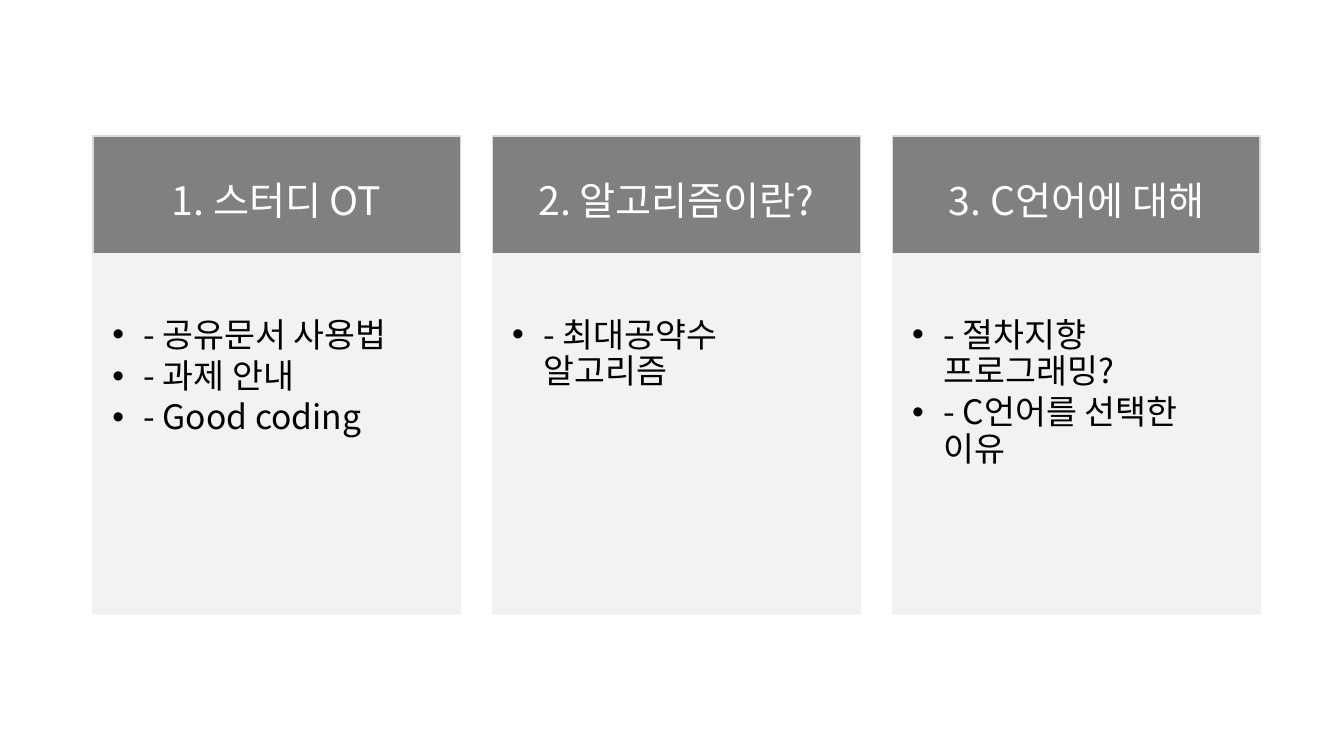
import pptx
import pptx.util
import pptx.dml.color
import pptx.enum.shapes
import pptx.enum.text
import pptx.oxml.ns
import lxml.etree
from dataclasses import dataclass

Cm = pptx.util.Cm
Pt = pptx.util.Pt
ALIGN = pptx.enum.text.PP_ALIGN
ANCHOR = pptx.enum.text.MSO_ANCHOR


@dataclass(frozen=True)
class Theme:
    font: str = "Noto Sans CJK KR"
    bullet_font: str = "Arial"
    heading_fill: str = "808080"
    heading_line: str = "D9D9D9"
    heading_text: str = "FFFFFF"
    body_fill: str = "F2F2F2"
    body_text: str = "000000"
    heading_size: int = 28
    body_size: int = 24


def rgb(code):
    return pptx.dml.color.RGBColor.from_string(code)


def write(paragraph, text, *, font, size, color, align, after,
          bullet_indent=None, bullet_font=None):
    paragraph.alignment = align
    paragraph.line_spacing = 0.9
    paragraph.space_after = Pt(after)
    run = paragraph.add_run()
    run.text = text
    run.font.name = font
    run.font.size = Pt(size)
    run.font.color.rgb = rgb(color)
    qn = pptx.oxml.ns.qn
    # East Asian typeface for the Korean text
    lxml.etree.SubElement(run.font._element, qn("a:ea")).set("typeface", font)
    if bullet_indent is not None:
        properties = paragraph._p.get_or_add_pPr()
        properties.set("marL", str(bullet_indent))
        properties.set("indent", str(-bullet_indent))
        lxml.etree.SubElement(properties, qn("a:buFont")).set("typeface", bullet_font)
        lxml.etree.SubElement(properties, qn("a:buChar")).set("char", "•")


class Deck:
    def __init__(self, theme, slide):
        self.theme = theme
        self.slide = slide

    def panel(self, left, top, width, height, fill, line, anchor, insets):
        panel = self.slide.shapes.add_shape(
            pptx.enum.shapes.MSO_SHAPE.RECTANGLE,
            Cm(left), Cm(top), Cm(width), Cm(height))
        panel.shadow.inherit = False
        panel.fill.solid()
        panel.fill.fore_color.rgb = rgb(fill)
        panel.line.color.rgb = rgb(line)
        panel.line.width = Pt(1)
        frame = panel.text_frame
        frame.word_wrap = True
        frame.vertical_anchor = anchor
        (frame.margin_left, frame.margin_top,
         frame.margin_right, frame.margin_bottom) = map(Cm, insets)
        return frame

    def heading(self, text, left, top, width, height):
        theme = self.theme
        frame = self.panel(left, top, width, height, theme.heading_fill,
                           theme.heading_line, ANCHOR.MIDDLE, (0.63, 0.36, 0.63, 0.36))
        write(frame.paragraphs[0], text, font=theme.font, size=theme.heading_size,
              color=theme.heading_text, align=ALIGN.CENTER, after=9.8)

    def bullets(self, items, left, top, width, height):
        theme = self.theme
        frame = self.panel(left, top, width, height, theme.body_fill,
                           theme.body_fill, ANCHOR.TOP, (0.49, 1.62, 0.63, 0.71))
        for index, item in enumerate(items):
            paragraph = frame.add_paragraph() if index else frame.paragraphs[0]
            write(paragraph, item, font=theme.font, size=theme.body_size,
                  color=theme.body_text, align=ALIGN.LEFT, after=3.6,
                  bullet_indent=Cm(0.79), bullet_font=theme.bullet_font)


presentation = pptx.Presentation()
presentation.slide_width = Cm(33.87)
presentation.slide_height = Cm(19.05)
deck = Deck(Theme(), presentation.slides.add_slide(presentation.slide_layouts[6]))

# Study topics, one column each
topics = [
    ("1. 스터디 OT", ["- 공유문서 사용법", "- 과제 안내", "- Good coding"]),
    ("2. 알고리즘이란?", ["- 최대공약수 알고리즘"]),
    ("3. C언어에 대해", ["- 절차지향 프로그래밍?", "- C언어를 선택한 이유"]),
]
first_left, column_width, column_gap = 2.34, 9.26, 0.82
for number, (topic, points) in enumerate(topics):
    column_left = first_left + number * (column_width + column_gap)
    deck.heading(topic, column_left, 3.43, column_width, 3.35)
    deck.bullets(points, column_left, 6.4, column_width, 9.07)

presentation.save("out.pptx")
